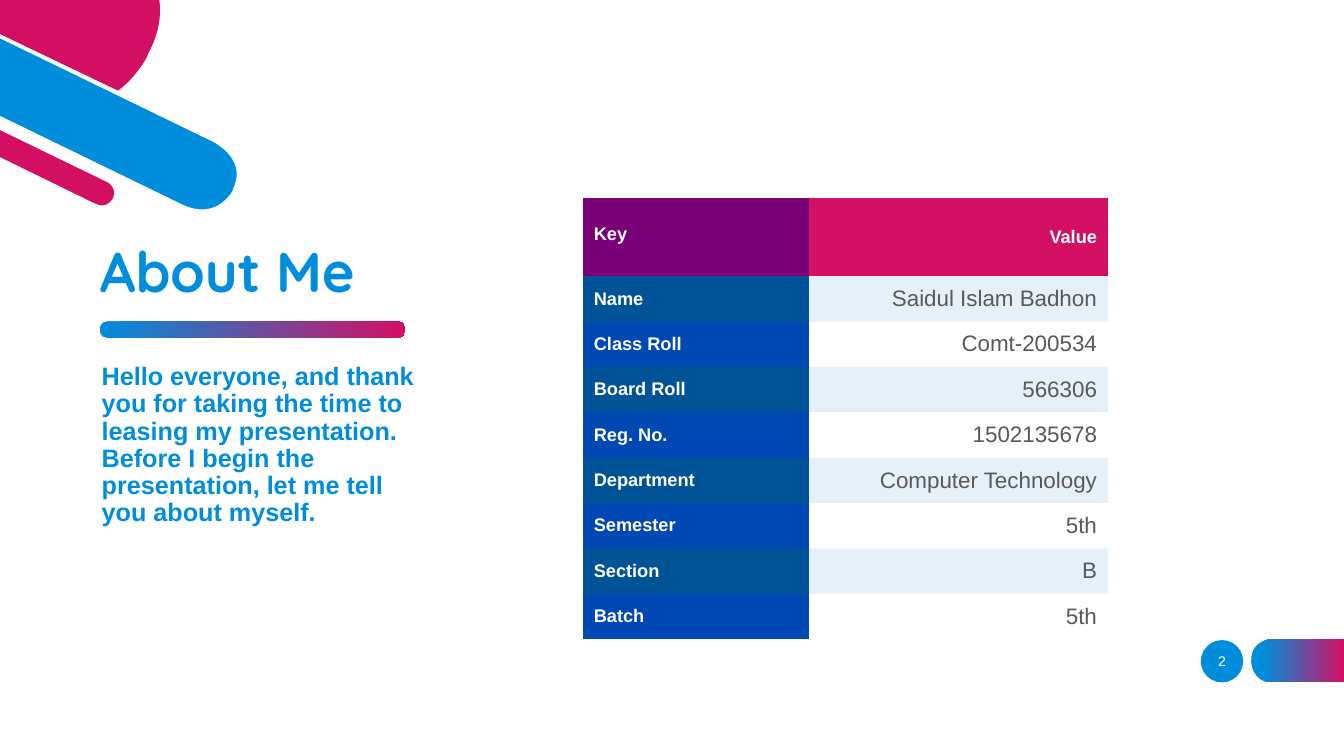
"""Build the About Me slide on a grid of 13.33 by 7.5 cells."""
from pptx import Presentation, util as u
from pptx.dml.color import RGBColor
from pptx.enum import shapes, text
from pptx.oxml import ns, parse_xml

CELL = u.Inches(1)
COLUMNS, ROWS = 13.33, 7.5
BLUE, PINK, WHITE = "008EDC", "D30F64", "FFFFFF"
NO_STYLE = "{2D5ABB26-0587-4C30-8999-92F81FD0307C}"
LABEL = dict(name="Arial", size=u.Pt(13), bold=True, color=WHITE)
VALUE = dict(name="Arial", size=u.Pt(16), bold=False, color="595959")
BODY = dict(name="Arial", size=u.Pt(18), bold=True, color=BLUE)
TITLE = dict(name="Quicksand", size=u.Pt(40), bold=True, color=BLUE)
NUMBER = dict(name="Arial", size=u.Pt(10), bold=False, color=WHITE)

PROFILE = [
    ("Name", "Saidul Islam Badhon"), ("Class Roll", "Comt-200534"),
    ("Board Roll", "566306"), ("Reg. No.", "1502135678"),
    ("Department", "Computer Technology"), ("Semester", "5th"),
    ("Section", "B"), ("Batch", "5th"),
]

CORNER = [
    (WHITE, (1.6, 1.09),
     [(0.01, 0.81), (0.28, 0.94), (0.6, 1.1, 0.89, 1.08, 1.15, 0.89),
      (1.34, 0.74, 1.44, 0.55, 1.44, 0.55), (1.46, 0.52),
      (1.55, 0.34, 1.58, 0.16, 1.56, 0), (1.6, 0),
      (1.62, 0.17, 1.59, 0.35, 1.49, 0.54), (1.48, 0.57),
      (1.47, 0.58, 1.37, 0.77, 1.17, 0.92),
      (1.06, 1.01, 0.9, 1.09, 0.69, 1.09),
      (0.56, 1.09, 0.42, 1.06, 0.26, 0.98), (0.01, 0.86)]),
    (BLUE, (2.36, 1.73),
     [(2.12, 1.39), (2.12, 1.39, 2.49, 1.57, 2.33, 1.89), (2.32, 1.9),
      (2.32, 1.9, 2.16, 2.22, 1.8, 2.04), (0, 1.17), (0, 0.36)]),
    (PINK, (1.59, 0.9),
     [(1.46, 0.56), (1.46, 0.56, 1.36, 0.76, 1.17, 0.9), (0, 0.34),
      (0, 0), (1.58, 0), (1.6, 0.15, 1.58, 0.33, 1.47, 0.53)]),
    (PINK, (1.16, 0.8),
     [(0, 1.26), (1.06, 1.78), (1.06, 1.78, 1.2, 1.85, 1.14, 1.97),
      (1.14, 1.98), (1.14, 1.98, 1.07, 2.11, 0.93, 2.04), (0, 1.58)]),
    (WHITE, (1.19, 0.84),
     [(0.94, 2.02), (1.06, 2.08, 1.11, 1.98, 1.12, 1.97),
      (1.17, 1.86, 1.06, 1.8, 1.05, 1.8), (0, 1.29), (0, 1.24),
      (1.07, 1.76), (1.07, 1.76, 1.15, 1.8, 1.17, 1.87),
      (1.18, 1.91, 1.18, 1.95, 1.16, 1.99),
      (1.14, 2.03, 1.09, 2.08, 1.01, 2.08),
      (0.99, 2.08, 0.96, 2.08, 0.93, 2.06), (0, 1.61), (0, 1.56)]),
    (WHITE, (2.39, 1.78),
     [(1.81, 2.03), (2.15, 2.19, 2.3, 1.9, 2.31, 1.89), (2.31, 1.88),
      (2.37, 1.75, 2.36, 1.64, 2.27, 1.53),
      (2.21, 1.46, 2.12, 1.41, 2.12, 1.41), (0, 0.38), (0, 0.34),
      (2.14, 1.37), (2.14, 1.38, 2.32, 1.46, 2.37, 1.63),
      (2.4, 1.71, 2.39, 1.8, 2.35, 1.9), (2.34, 1.91),
      (2.34, 1.91, 2.23, 2.12, 2.01, 2.12),
      (1.94, 2.12, 1.87, 2.1, 1.79, 2.06), (0, 1.19), (0, 1.15)]),
]
PAGE_TAB = [(12.62, 6.77), (13.33, 6.77), (13.33, 6.34), (12.62, 6.34),
            (12.62, 6.34, 12.41, 6.34, 12.41, 6.55), (12.41, 6.56),
            (12.41, 6.56, 12.41, 6.77, 12.62, 6.77)]


def rgb(colour):
    """Turn a hex string into a colour."""
    return RGBColor.from_string(colour)


def cells(*counts):
    """Turn counts of grid cells into lengths."""
    return [u.Emu(round(count * CELL)) for count in counts]


def paint(shape, colour, end=None, start=0):
    """Fill a shape plainly, or from left to right when an end colour is given."""
    shape.shadow.inherit = False
    shape.line.fill.background()
    if end is None:
        shape.fill.solid()
        shape.fill.fore_color.rgb = rgb(colour)
        return
    shape.fill.gradient()
    shape.fill.gradient_angle = 0
    for stop, tint, position in zip(shape.fill.gradient_stops, (colour, end), (start, 1)):
        stop.color.rgb = rgb(tint)
        stop.position = position


def add_outline(slide, size, outline, *colours):
    """Draw a closed outline of points (x, y) and curves (two controls and an end)."""
    first, *rest = [cells(*part[-2:]) for part in outline]
    builder = slide.shapes.build_freeform(*first)
    builder.add_line_segments(rest, close=True)
    shape = builder.convert_to_shape()
    figure = shape._element.find(".//" + ns.qn("a:path"))
    for part, segment in zip(outline[1:], figure.findall(ns.qn("a:lnTo"))):
        if len(part) == 6:
            segment.tag = ns.qn("a:cubicBezTo")
            for index in (0, 1):
                x, y = cells(*part[2 * index:2 * index + 2])
                segment.insert(index, parse_xml(
                    f'<a:pt {ns.nsdecls("a")} x="{x - shape.left}" y="{y - shape.top}"/>'))
    shape.width, shape.height = cells(*size)
    figure.set("w", str(shape.width))
    figure.set("h", str(shape.height))
    paint(shape, *colours)


def add_preset(slide, kind, box, *colours):
    """Draw a preset shape in a box of grid cells."""
    shape = slide.shapes.add_shape(kind, *cells(*box))
    paint(shape, *colours)
    return shape


def write(frame, words, style, align="LEFT", spacing=None):
    """Write one formatted paragraph into a text frame."""
    paragraph = frame.paragraphs[0]
    paragraph.text = words
    paragraph.alignment = text.PP_ALIGN[align]
    paragraph.line_spacing = spacing
    for name, value in style.items():
        if name == "color":
            paragraph.font.color.rgb = rgb(value)
        else:
            setattr(paragraph.font, name, value)


def place_text(shape, box, anchor, words, style, **layout):
    """Put a shape in its box and write its text."""
    shape.left, shape.top, shape.width, shape.height = cells(*box)
    settings = dict(word_wrap=True, auto_size=text.MSO_AUTO_SIZE.NONE,
                    vertical_anchor=text.MSO_ANCHOR[anchor])
    for name, value in settings.items():
        setattr(shape.text_frame, name, value)
    write(shape.text_frame, words, style, **layout)


def add_text(slide, box, *content, **layout):
    """Add a text box."""
    place_text(slide.shapes.add_textbox(*cells(*box)), box, *content, **layout)


def fill_cell(cell, words, style, colour, align="LEFT", alpha=None):
    """Format one table cell."""
    cell.margin_left, cell.margin_top, cell.margin_right, cell.margin_bottom = cells(0.11, 0.06, 0.11, 0.06)
    cell.vertical_anchor = text.MSO_ANCHOR.MIDDLE
    cell.fill.solid()
    cell.fill.fore_color.rgb = rgb(colour)
    if alpha:
        tint = cell._tc.tcPr.find(".//" + ns.qn("a:srgbClr"))
        tint.append(parse_xml(f'<a:alpha {ns.nsdecls("a")} val="{alpha * 1000}"/>'))
    write(cell.text_frame, words, style, align)


def add_profile(slide):
    """Add the table of keys and values."""
    widths, heights = (2.24, 2.97), [0.78] + [0.45] * len(PROFILE)
    box = (5.78, 1.96, sum(widths), sum(heights))
    table = slide.shapes.add_table(len(heights), len(widths), *cells(*box)).table
    table._tbl.tblPr.find(ns.qn("a:tableStyleId")).text = NO_STYLE
    table.horz_banding = False
    for column, width in zip(table.columns, cells(*widths)):
        column.width = width
    for row, height in zip(table.rows, cells(*heights)):
        row.height = height
    fill_cell(table.cell(0, 0), "Key", LABEL, "7A0078")
    table.cell(0, 0).margin_bottom = cells(0.12)[0]
    fill_cell(table.cell(0, 1), "Value", LABEL, PINK, "RIGHT")
    for index, (key, value) in enumerate(PROFILE, 1):
        banded = index % 2
        fill_cell(table.cell(index, 0), key, LABEL, "005396" if banded else "0048B3")
        fill_cell(table.cell(index, 1), value, VALUE, "006FC9" if banded else WHITE,
                  "RIGHT", 10 if banded else None)


def main():
    """Build and save the slide."""
    presentation = Presentation()
    presentation.slide_width, presentation.slide_height = cells(COLUMNS, ROWS)
    slide = presentation.slides.add_slide(presentation.slide_layouts[5])
    add_preset(slide, shapes.MSO_SHAPE.OVAL, (11.91, 6.35, 0.42, 0.42), BLUE)
    add_outline(slide, (0.92, 0.43), PAGE_TAB, BLUE, PINK, 0.12)
    for colour, size, outline in CORNER:
        add_outline(slide, size, outline, colour)
    bar = add_preset(slide, shapes.MSO_SHAPE.ROUNDED_RECTANGLE, (0.99, 3.19, 3.03, 0.16), BLUE, PINK)
    bar.adjustments[0] = 0.45
    place_text(slide.shapes.title, (0.89, 2.33, 3.72, 0.74), "BOTTOM", "About Me", TITLE, spacing=0.9)
    add_text(slide, (0.91, 3.56, 3.48, 2.02), "TOP",
             "Hello everyone, and thank you for taking the time to leasing my presentation. "
             "Before I begin the presentation, let me tell you about myself.", BODY, spacing=0.9)
    add_profile(slide)
    add_text(slide, (11.82, 6.36, 0.6, 0.4), "MIDDLE", "2", NUMBER, align="CENTER")
    presentation.save("out.pptx")


if __name__ == "__main__":
    main()
